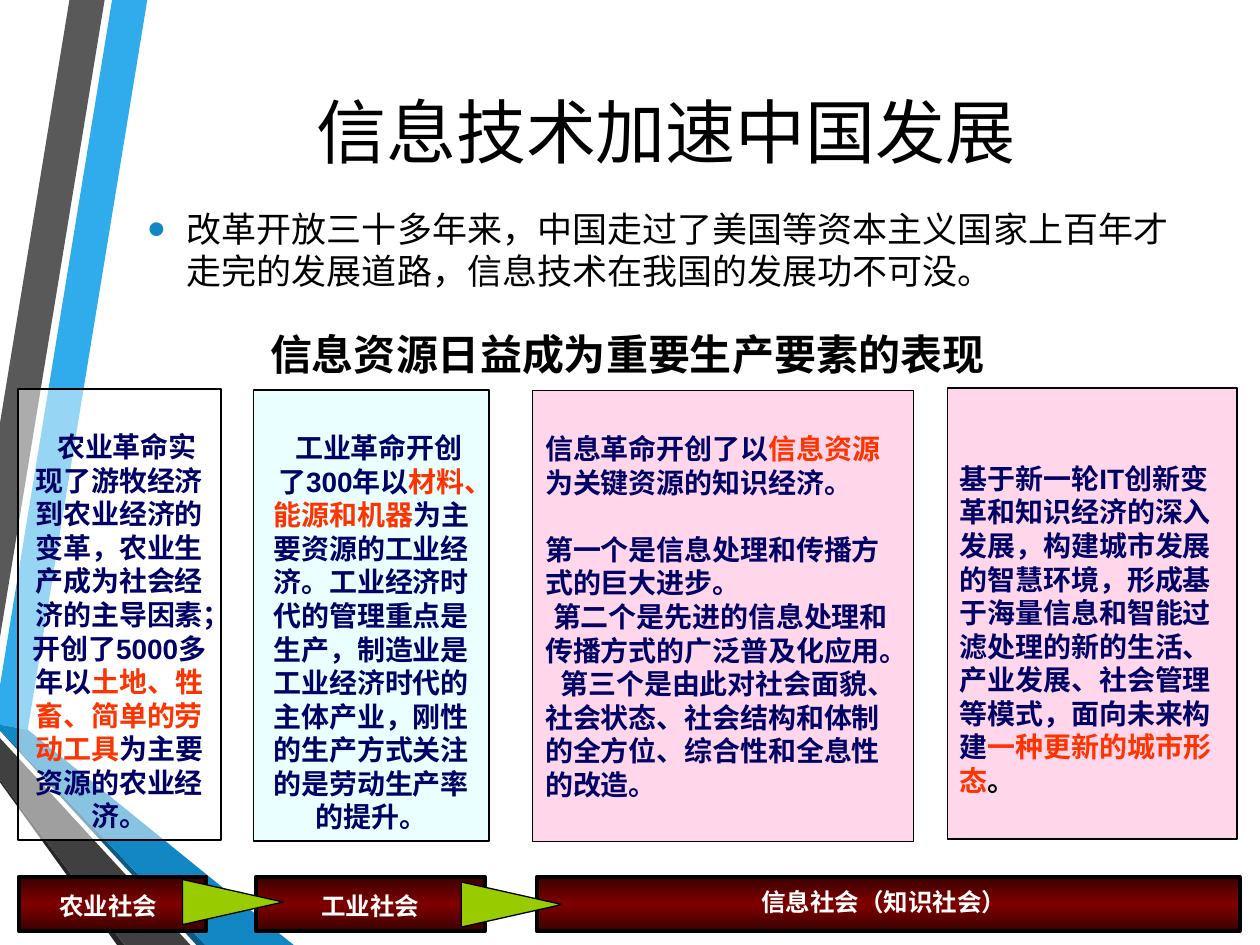
"""Build a slide on how information technology sped up China's development."""
from lxml.etree import SubElement as Sub
from pptx import Presentation
from pptx.dml.color import RGBColor as RGB
from pptx.enum.shapes import MSO_SHAPE as Form
from pptx.enum.text import MSO_ANCHOR as Anchor, PP_ALIGN as Align
from pptx.oxml.ns import qn
from pptx.util import Cm, Pt

HUES = {
    "black": "000000", "white": "FFFFFF", "navy": "000066", "red": "FF3300",
    "pink": "FF99CC", "aqua": "CCFFFF", "lime": "99CC00", "wine": "800000",
    "dusk": "3B0000", "sky": "30ACEC", "blue": "1287C3", "deep": "0C5A82",
    "grey": "595959", "dim": "404040", "dark": "262626",
}


def paint(shape, hue, edge=0, alpha=None):
    shape.shadow.inherit = False
    shape.fill.solid()
    shape.fill.fore_color.rgb = RGB.from_string(HUES[hue])
    if alpha:
        color = shape.fill._xPr.find(qn("a:solidFill"))[0]
        Sub(color, qn("a:alpha"), val=str(alpha * 1000))
    if edge:
        shape.line.color.rgb = RGB.from_string(HUES["black"])
        shape.line.width = Pt(edge)
    else:
        shape.line.fill.background()


def write(para, runs, align, **style):
    para.alignment = align
    for text, hue in runs:
        run = para.add_run()
        run.text = text
        for key, value in style.items():
            setattr(run.font, key, value)
        run.font.color.rgb = RGB.from_string(HUES[hue])


deck = Presentation()
deck.slide_width, deck.slide_height = Cm(25.4), Cm(19.05)
slide = deck.slides.add_slide(deck.slide_layouts[1])
shapes = slide.shapes

bands = [
    ("sky", [(0, 13.82), (0, 14.61), (0.56, 14.71), (2.97, 0), (2.26, 0)]),
    ("grey", [(2.11, 0), (1.4, 0), (0, 8.53), (0, 12.85)]),
    ("dark", [(0, 15.72), (0, 15.77), (2.36, 19.05), (2.51, 19.05)]),
    ("deep", [(0, 14.71), (0, 14.73), (3.96, 19.05), (4.14, 19.05)]),
    ("blue", [(0, 14.71), (4.14, 19.05), (5.92, 19.05), (0.56, 14.71), (0, 14.61)]),
    ("dim", [(0, 15.72), (2.51, 19.05), (3.84, 19.05), (0, 14.88)]),
]
for hue, points in bands:
    (left, top), *rest = [(x * 100, y * 100) for x, y in points]
    pen = shapes.build_freeform(left, top, scale=Cm(0.01))
    pen.add_line_segments(rest, close=True)
    paint(pen.convert_to_shape(), hue)

title, body = shapes.title, slide.placeholders[1]
for holder, top, height in [(title, 1.27, 2.74), (body, 4.06, 12.17)]:
    holder.left, holder.top = Cm(2.72), Cm(top)
    holder.width, holder.height = Cm(21.41), Cm(height)
    shapes.element.append(holder.element)
title.text_frame.vertical_anchor = Anchor.MIDDLE
write(title.text_frame.paragraphs[0], [("信息技术加速中国发展", "black")],
      Align.CENTER, size=Pt(40), name="Times New Roman")

para = body.text_frame.paragraphs[0]
props = para._p.get_or_add_pPr()
props.set("marL", str(Cm(0.79)))
props.set("indent", str(-Cm(0.79)))
Sub(Sub(props, qn("a:buClr")), qn("a:srgbClr"), val=HUES["blue"])
Sub(props, qn("a:buSzPct"), val="145000")
Sub(props, qn("a:buFont"), typeface="Arial")
Sub(props, qn("a:buChar"), char="•")
para.space_before, para.space_after = Pt(0), Pt(6)
write(para, [("改革开放三十多年来，中国走过了美国等资本主义国家上百年才走完的发展道路，"
              "信息技术在我国的发展功不可没。", "black")],
      Align.LEFT, size=Pt(20), name="Times New Roman")

stages = [
    ("农业社会", 0.38, 3.78, 0.84, 2.69, 17.83),
    ("工业社会", 5.16, 4.62, 5.99, 2.95, 17.83),
    ("信息社会（知识社会）", 10.82, 14.17, 13.03, 9.58, 17.75),
]
for text, left, width, inner, span, top in stages:
    bar = shapes.add_shape(Form.RECTANGLE, Cm(left), Cm(17.68), Cm(width), Cm(1.09))
    paint(bar, "wine", 2.25)
    bar.fill.gradient()
    bar.fill.gradient_angle = 90
    stops = bar.fill._xPr.find(qn("a:gradFill")).find(qn("a:gsLst"))
    for stop in list(stops):
        stops.remove(stop)
    for place, hue in [(0, "dusk"), (50, "wine"), (100, "dusk")]:
        stop = Sub(stops, qn("a:gs"), pos=str(place * 1000))
        Sub(stop, qn("a:srgbClr"), val=HUES[hue])
    label = shapes.add_textbox(Cm(inner), Cm(top), Cm(span), Cm(0.78))
    frame = label.text_frame
    frame.word_wrap = True
    frame.margin_left = frame.margin_right = Cm(0.05)
    write(frame.paragraphs[0], [(text, "white")], Align.CENTER,
          size=Pt(14), name="Arial", bold=True)

for left, top in [(4.24, 17.17), (9.86, 17.22)]:
    arrow = shapes.add_shape(Form.ISOSCELES_TRIANGLE, Cm(left), Cm(top), Cm(0.91), Cm(2.03))
    arrow.rotation = 90
    paint(arrow, "lime", 0.75)

panels = [
    (0.36, 7.85, 4.09, "white", 50, 1, 0.81, Align.CENTER, [
        (0.31, 0, [("农业革命实现了游牧经济到农业经济的变革，农业生产成为社会经济的主导因素；"
                    "开创了5000多年以", "navy"),
                   ("土地、牲畜、简单的劳动工具", "red"),
                   ("为主要资源的农业经济。", "navy")])]),
    (5.11, 7.87, 4.75, "aqua", 41, 1, 0.81, Align.CENTER, [
        (0.31, 0, [("工业革命开创了300年以", "navy"),
                   ("材料、能源和机器", "red"),
                   ("为主要资源的工业经济。工业经济时代的管理重点是生产，制造业是工业经济时代的"
                    "主体产业，刚性的生产方式关注的是劳动生产率的提升。", "navy")])]),
    (10.74, 7.87, 7.67, "pink", 40, 0.75, 0.83, Align.LEFT, [
        (0, 0, [("信息革命开创了以", "navy"), ("信息资源", "red"),
                ("为关键资源的知识经济。", "navy")]),
        (0, 19.2, [("第一个是信息处理和传播方式的巨大进步。", "navy")]),
        (0.16, 0, [("第二个是先进的信息处理和传播方式的广泛普及化应用。", "navy")]),
        (0.31, 0, [("第三个是由此对社会面貌、社会状态、社会结构和体制的全方位、"
                    "综合性和全息性的改造。", "navy")])]),
    (19.1, 7.82, 5.84, "pink", 40, 1, 1.48, Align.LEFT, [
        (0, 0, [("基于新一轮IT创新变革和知识经济的深入发展，构建城市发展的智慧环境，"
                 "形成基于海量信息和智能过滤处理的新的生活、产业发展、社会管理等模式，"
                 "面向未来构建", "navy"),
                ("一种更新的城市形态", "red"), ("。", "black")])]),
]
for left, top, width, hue, alpha, edge, inset, align, paras in panels:
    panel = shapes.add_shape(Form.RECTANGLE, Cm(left), Cm(top), Cm(width), Cm(9.09))
    paint(panel, hue, edge, alpha)
    frame = panel.text_frame
    frame.word_wrap = True
    frame.vertical_anchor = Anchor.TOP
    frame.margin_top = Cm(inset)
    for index, (indent, gap, runs) in enumerate(paras):
        para = frame.add_paragraph() if index else frame.paragraphs[0]
        para._p.get_or_add_pPr().set("indent", str(Cm(indent)))
        if gap:
            para.space_before = Pt(gap)
        write(para, runs, align, size=Pt(16), name="Arial", bold=True)

head = shapes.add_textbox(Cm(3.28), Cm(6.5), Cm(18.72), Cm(1.3))
head.text_frame.word_wrap = True
write(head.text_frame.paragraphs[0], [("信息资源日益成为重要生产要素的表现", "black")],
      Align.CENTER, size=Pt(24), name="Arial", bold=True)

deck.save("out.pptx")
